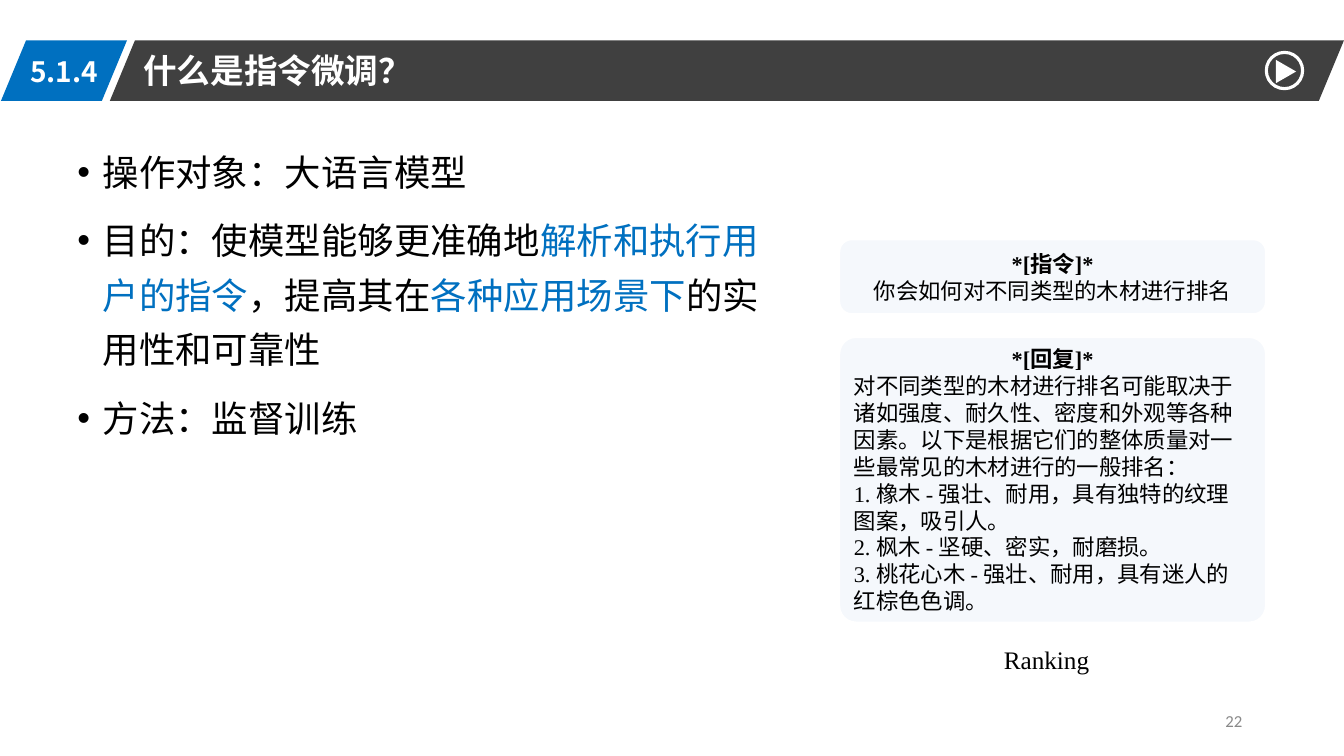
"""Build the slide that explains what instruction tuning is."""
from dataclasses import dataclass

from lxml import etree
from pptx import Presentation, util as u
from pptx.dml.color import RGBColor
from pptx.enum import shapes, text
from pptx.oxml.ns import qn

PX = 9144
SLIDE_SIZE = (1333, 750)


@dataclass(frozen=True)
class Theme:
    """Colours, fonts and type sizes of the slide."""
    white: str = "FFFFFF"
    black: str = "000000"
    bar: str = "404040"
    accent: str = "0070C0"
    card: str = "DEEBF7"
    muted: str = "898989"
    card_alpha: int = 30000
    sans: str = "Noto Sans CJK SC"
    serif: str = "Times New Roman"
    number_font: str = "Calibri"
    title_size: int = 24
    section_size: int = 20
    body_size: int = 26
    card_size: int = 16
    caption_size: int = 18
    number_size: int = 12


THEME = Theme()

TITLE = "什么是指令微调？"
SECTION = "5.1.4"
CAPTION = "Ranking"
PAGE_NUMBER = "22"
BULLETS = [
    [("操作对象：大语言模型", THEME.black)],
    [
        ("目的：使模型能够更准确地", THEME.black),
        ("解析和执行用户的指令", THEME.accent),
        ("，提高其在", THEME.black),
        ("各种应用场景下", THEME.accent),
        ("的实用性和可靠性", THEME.black),
    ],
    [("方法：监督训练", THEME.black)],
]
CENTER, LEFT, RIGHT = text.PP_ALIGN.CENTER, text.PP_ALIGN.LEFT, text.PP_ALIGN.RIGHT
CARDS = [
    {"top": 237, "height": 75, "corner": 0.17, "align": CENTER, "heading": "*[指令]*",
     "lines": ["你会如何对不同类型的木材进行排名"]},
    {"top": 334, "height": 284, "corner": 0.06, "align": LEFT, "heading": "*[回复]*",
     "lines": [
         "对不同类型的木材进行排名可能取决于诸如强度、耐久性、密度和外观等各种因素。"
         "以下是根据它们的整体质量对一些最常见的木材进行的一般排名：",
         "1. 橡木 - 强壮、耐用，具有独特的纹理图案，吸引人。",
         "2. 枫木 - 坚硬、密实，耐磨损。",
         "3. 桃花心木 - 强壮、耐用，具有迷人的红棕色色调。",
     ]},
]
CARD_LEFT, CARD_WIDTH = 832, 424
BANNERS = [((109, 40, 1224, 60), THEME.bar), ((1, 40, 125, 60), THEME.accent)]
BANNER_SLANT = 0.415


def emu(box):
    """Turn a box in px into EMU."""
    return [u.Emu(value * PX) for value in box]


def rgb(color):
    """Turn a hex string into a colour."""
    return RGBColor.from_string(color)


def style(paragraph, font_name, size, color, bold=False, align=LEFT):
    """Format every run of a paragraph."""
    paragraph.alignment = align
    for run in paragraph.runs:
        font = run.font
        font.size, font.bold, font.name = u.Pt(size), bold, font_name
        font.color.rgb = rgb(color)
        east_asian = etree.SubElement(font._element, qn("a:ea"))
        east_asian.set("typeface", THEME.sans)


def add_shape(parent, kind, box, fill=None, line=None, width=0, adjust=None):
    """Add a flat preset shape."""
    shape = parent.add_shape(kind, *emu(box))
    shape.shadow.inherit = False
    if fill:
        shape.fill.solid()
        shape.fill.fore_color.rgb = rgb(fill)
    else:
        shape.fill.background()
    if line:
        shape.line.color.rgb = rgb(line)
        shape.line.width = u.Pt(width)
    else:
        shape.line.fill.background()
    if adjust is not None:
        shape.adjustments[0] = adjust
    return shape


def add_label(slide, box, words, *look, anchor=text.MSO_ANCHOR.TOP, **options):
    """Add a one-line text box."""
    frame = slide.shapes.add_textbox(*emu(box)).text_frame
    frame.word_wrap = True
    frame.vertical_anchor = anchor
    frame.text = words
    style(frame.paragraphs[0], *look, **options)


def add_title(slide):
    """Place the title on the banner."""
    title = slide.shapes.title
    slide.shapes.element.append(title.element)
    title.left, title.top, title.width, title.height = emu((132, 44, 289, 50))
    frame = title.text_frame
    frame.text = TITLE
    frame.word_wrap = False
    frame.auto_size = text.MSO_AUTO_SIZE.NONE
    frame.vertical_anchor = text.MSO_ANCHOR.TOP
    style(frame.paragraphs[0], THEME.sans, THEME.title_size, THEME.white, bold=True)


def add_play_icon(slide):
    """Add the play button at the end of the banner."""
    icon = slide.shapes.add_group_shape().shapes
    kinds = shapes.MSO_SHAPE
    add_shape(icon, kinds.OVAL, (1256, 52, 36, 36), line=THEME.white, width=2.25)
    arrow = add_shape(icon, kinds.ISOSCELES_TRIANGLE, (1264, 61, 23, 20), fill=THEME.white)
    arrow.rotation = 90


def add_bullets(slide):
    """Add the bulleted body text."""
    frame = slide.shapes.add_textbox(*emu((67, 133, 731, 540))).text_frame
    frame.word_wrap = True
    for index, parts in enumerate(BULLETS):
        paragraph = frame.add_paragraph() if index else frame.paragraphs[0]
        properties = paragraph._p.get_or_add_pPr()
        properties.set("marL", str(25 * PX))
        properties.set("indent", str(-25 * PX))
        bullet_font = etree.SubElement(properties, qn("a:buFont"))
        bullet_font.set("typeface", "Arial")
        etree.SubElement(properties, qn("a:buChar")).set("char", "•")
        paragraph.line_spacing = 1.25
        paragraph.space_before = u.Pt(10 if index else 0)
        for words, _ in parts:
            paragraph.add_run().text = words
        style(paragraph, THEME.sans, THEME.body_size, THEME.black)
        for run, (_, color) in zip(paragraph.runs, parts):
            run.font.color.rgb = rgb(color)


def add_card(slide, card):
    """Add one translucent dialogue card."""
    box = (CARD_LEFT, card["top"], CARD_WIDTH, card["height"])
    shape = add_shape(slide.shapes, shapes.MSO_SHAPE.ROUNDED_RECTANGLE, box,
                      THEME.card, THEME.white, 2, card["corner"])
    color = shape.element.spPr.find(qn("a:solidFill")).find(qn("a:srgbClr"))
    etree.SubElement(color, qn("a:alpha")).set("val", str(THEME.card_alpha))
    frame = shape.text_frame
    frame.word_wrap = True
    frame.vertical_anchor = text.MSO_ANCHOR.MIDDLE
    frame.text = "\n".join([card["heading"], *card["lines"]])
    heading, *lines = frame.paragraphs
    look = (THEME.serif, THEME.card_size, THEME.black)
    style(heading, *look, bold=True, align=CENTER)
    for paragraph in lines:
        style(paragraph, *look, align=card["align"])


def main():
    """Build and save the presentation."""
    presentation = Presentation()
    presentation.slide_width, presentation.slide_height = emu(SLIDE_SIZE)
    slide = presentation.slides.add_slide(presentation.slide_layouts[5])
    add_label(slide, (942, 695, 300, 40), PAGE_NUMBER, THEME.number_font, THEME.number_size,
              THEME.muted, align=RIGHT, anchor=text.MSO_ANCHOR.MIDDLE)
    for box, color in BANNERS:
        add_shape(slide.shapes, shapes.MSO_SHAPE.PARALLELOGRAM, box, color, adjust=BANNER_SLANT)
    add_label(slide, (18, 49, 91, 44), SECTION, THEME.sans, THEME.section_size,
              THEME.white, bold=True, align=CENTER)
    add_title(slide)
    add_play_icon(slide)
    add_bullets(slide)
    add_label(slide, (898, 634, 280, 40), CAPTION, THEME.serif, THEME.caption_size,
              THEME.black, align=CENTER)
    for card in CARDS:
        add_card(slide, card)
    presentation.save("out.pptx")


if __name__ == "__main__":
    main()
